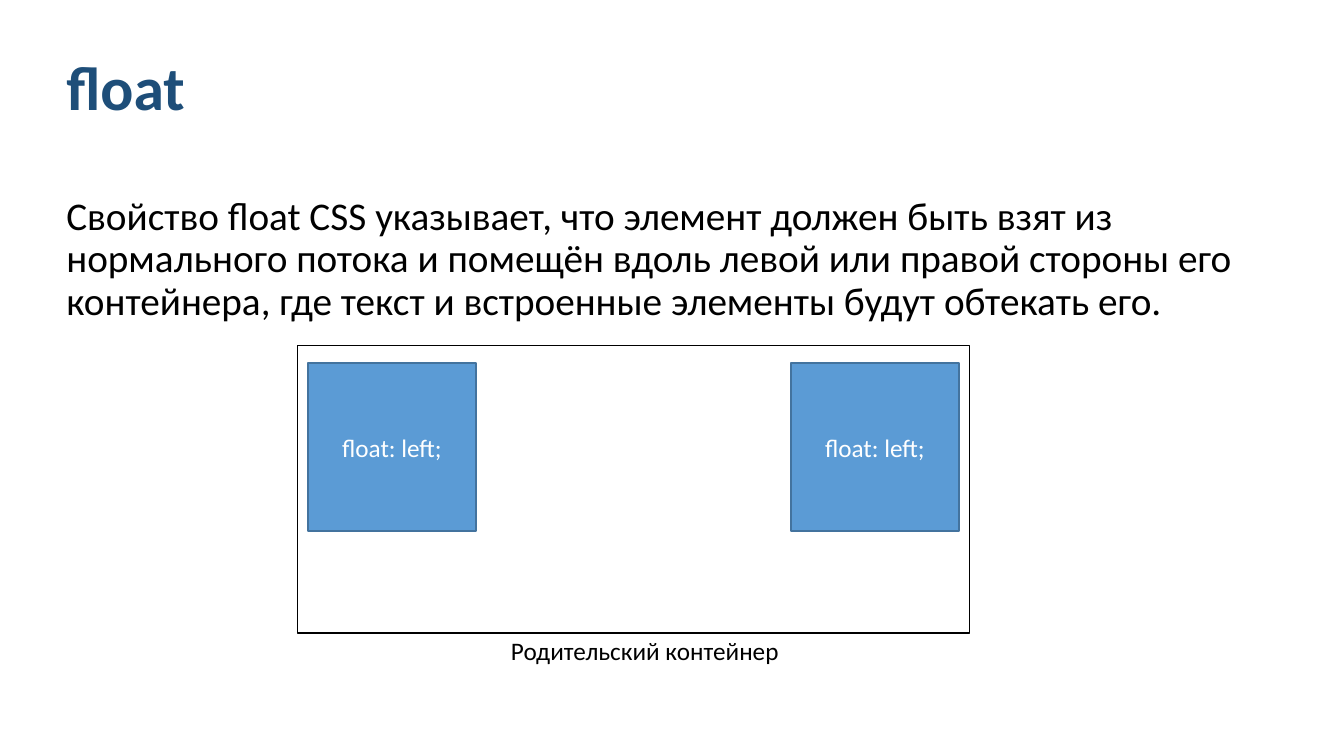
from dataclasses import dataclass

from pptx import Presentation
from pptx.dml.color import RGBColor as Rgb
from pptx.enum.shapes import MSO_SHAPE as Shape
from pptx.enum.text import MSO_ANCHOR as Anchor, PP_ALIGN as Align
from pptx.util import Inches, Pt


@dataclass(frozen=True)
class Theme:
    """Colours and type sizes of the slide."""
    font: str = "Calibri"
    heading: str = "1E4E79"
    ink: str = "000000"
    paper: str = "FFFFFF"
    block: str = "5B9BD5"
    block_edge: str = "43739E"
    title_size: int = 44
    body_size: int = 28
    label_size: int = 18


THEME = Theme()
WIDTH, HEIGHT = 13.33, 7.5


def write(frame, text, size, color, bold=False, align=Align.LEFT):
    """Fill a text frame with one formatted paragraph and return it."""
    frame.text = text
    paragraph = frame.paragraphs[0]
    paragraph.alignment = align
    font = paragraph.runs[0].font
    font.name, font.size, font.bold = THEME.font, Pt(size), bold
    font.color.rgb = Rgb.from_string(color)
    return paragraph


def add_text(slide, box, text, size, color, wrap=True, anchor=Anchor.TOP, **style):
    """Add a text box and return its paragraph."""
    frame = slide.shapes.add_textbox(*map(Inches, box)).text_frame
    frame.word_wrap, frame.vertical_anchor = wrap, anchor
    return write(frame, text, size, color, **style)


def add_rectangle(slide, box, fill, edge):
    """Add a filled, outlined rectangle without a shadow."""
    rectangle = slide.shapes.add_shape(Shape.RECTANGLE, *map(Inches, box))
    rectangle.shadow.inherit = False
    rectangle.fill.solid()
    rectangle.fill.fore_color.rgb = Rgb.from_string(fill)
    rectangle.line.color.rgb = Rgb.from_string(edge)
    rectangle.line.width = Pt(1)
    return rectangle


def add_title(slide, box, text):
    """Place the slide title, centred vertically in its box."""
    title = add_text(slide, box, text, THEME.title_size, THEME.heading,
                     anchor=Anchor.MIDDLE, bold=True)
    title.line_spacing = 0.9


def add_definition(slide, box, text):
    """Place the definition paragraph."""
    definition = add_text(slide, box, text, THEME.body_size, THEME.ink)
    definition.line_spacing = 0.9
    definition.space_before = Pt(10)


def add_float_diagram(slide, box, labels, caption):
    """Draw the parent container with floated blocks at its sides and a caption below."""
    left, top, width, height = box
    add_rectangle(slide, box, THEME.paper, THEME.ink)
    side, inset = width / 4, width / 64
    step = (width - side - 2 * inset) / (len(labels) - 1)
    for index, label in enumerate(labels):
        block_box = (left + inset + index * step, top + 0.06 * height, side, side)
        block = add_rectangle(slide, block_box, THEME.block, THEME.block_edge)
        block.text_frame.vertical_anchor = Anchor.MIDDLE
        write(block.text_frame, label, THEME.label_size, THEME.paper, align=Align.CENTER)
    caption_box = (left + 0.303 * width, top + 0.99 * height, 0.434 * width, 0.4)
    add_text(slide, caption_box, caption, THEME.label_size, THEME.ink, wrap=False)


def main():
    """Build and save the slide."""
    deck = Presentation()
    deck.slide_width, deck.slide_height = Inches(WIDTH), Inches(HEIGHT)
    slide = deck.slides.add_slide(deck.slide_layouts[6])
    margin = 0.042 * WIDTH
    add_title(slide, (margin, 0.17, 12.24, 1.45), "float")
    add_definition(
        slide, (margin, 1.9, 12.42, 5.51),
        "Свойство float CSS указывает, что элемент должен быть взят из нормального "
        "потока и помещён вдоль левой или правой стороны его контейнера, где текст "
        "и встроенные элементы будут обтекать его.")
    add_float_diagram(slide, (2.95, 3.43, WIDTH / 2, 0.38 * HEIGHT),
                      ["float: left;", "float: left;"], "Родительский контейнер")
    deck.save("out.pptx")


if __name__ == "__main__":
    main()
